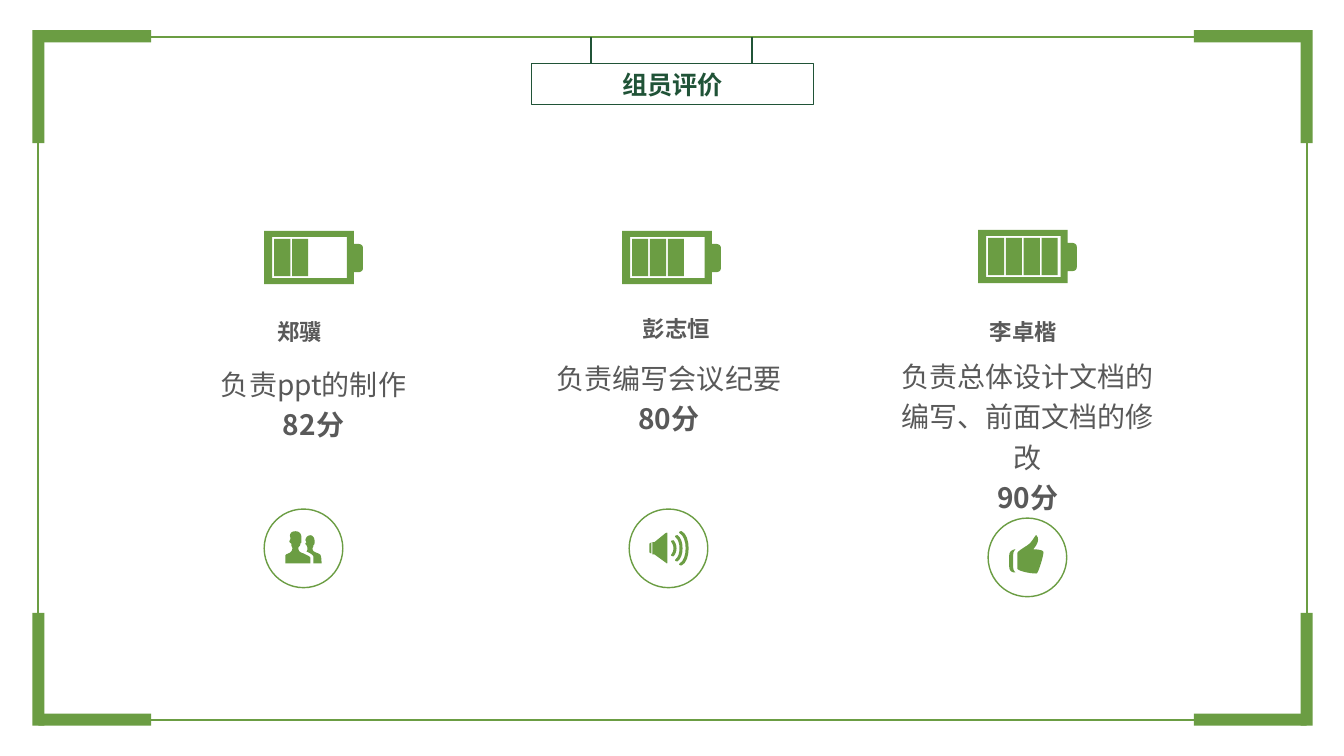
"""Build the team member evaluation slide."""
from lxml import etree
from pptx import Presentation, util as u
from pptx.dml.color import RGBColor
from pptx.enum import shapes, text
from pptx.oxml.ns import qn

GREEN, DARK, GREY = "6B9D43", "205337", "595959"
FONT = "Noto Sans CJK SC"
RECTANGLE, OVAL = shapes.MSO_SHAPE.RECTANGLE, shapes.MSO_SHAPE.OVAL


def paint(shape, fill=None, line=None, width=1):
    shape.shadow.inherit = False
    for part, color in ((shape.fill, fill), (shape.line.fill, line)):
        if color:
            part.solid()
            part.fore_color.rgb = RGBColor.from_string(color)
        else:
            part.background()
    if line:
        shape.line.width = u.Pt(width)


def draw_outline(contours):
    """Fill contours in inches; a point of six numbers is a Bezier curve."""
    builder = None
    for contour in contours:
        points = [contour[0]]
        for point in contour[1:]:
            if len(point) == 2:
                points.append(point)
                continue
            start = points[-1]
            for step in range(1, 9):
                t = step / 8
                weights = ((1 - t) ** 3, 3 * t * (1 - t) ** 2, 3 * t * t * (1 - t), t ** 3)
                points.append(tuple(
                    sum(w * v for w, v in zip(weights, (start[axis], *point[axis::2])))
                    for axis in (0, 1)))
        points = [(u.Inches(x), u.Inches(y)) for x, y in points]
        if builder is None:
            builder = slide.shapes.build_freeform(*points[0], scale=1.0)
        else:
            builder.move_to(*points[0])
        builder.add_line_segments(points[1:], close=True)
    paint(builder.convert_to_shape(), GREEN)


presentation = Presentation()
presentation.slide_width, presentation.slide_height = u.Inches(13.33), u.Inches(7.5)
slide = presentation.slides.add_slide(presentation.slide_layouts[5])

frame = slide.shapes.add_shape(RECTANGLE, *map(u.Inches, (0.38, 0.37, 12.58, 6.77)))
paint(frame, None, GREEN, 1.5)

for bar_left, post_left in ((0.38, 0.32), (11.84, 12.9)):
    for bar_top, post_top in ((0.3, 0.3), (7.08, 6.08)):
        for box in ((bar_left, bar_top, 1.12, 0.12), (post_left, post_top, 0.12, 1.12)):
            paint(slide.shapes.add_shape(RECTANGLE, *map(u.Inches, box)), GREEN)

title = slide.shapes.title
for name, value in dict(left=5.27, top=0.63, width=2.8, height=0.41).items():
    setattr(title, name, u.Inches(value))
paint(title, None, DARK)
for x in (5.86, 7.46):
    hanger = slide.shapes.add_connector(
        shapes.MSO_CONNECTOR.STRAIGHT, *map(u.Inches, (x, 0.37, x, 0.64)))
    hanger.line.width = u.Pt(1)
    hanger.line.color.rgb = RGBColor.from_string(DARK)
    etree.SubElement(hanger._element.spPr, qn("a:effectLst"))

for left, top, level in ((2.62, 2.29, 2), (6.17, 2.29, 3), (9.7, 2.28, 4)):
    right, bottom = left + 0.89, top + 0.53
    tip = left + 0.98
    case = [(right, top + 0.13), (right, top), (left, top), (left, bottom), (right, bottom),
            (right, top + 0.41),
            (right + 0.03, top + 0.41, tip, top + 0.42, tip, top + 0.37),
            (tip, top + 0.17),
            (tip, top + 0.12, right + 0.02, top + 0.13, right, top + 0.13)]
    window = [(left + 0.82, top + 0.47), (left + 0.08, top + 0.47),
              (left + 0.08, top + 0.06), (left + 0.82, top + 0.06)]
    draw_outline([case, window])
    for cell in range(level):
        box = (left + 0.1 + cell * 0.177, top + 0.08, 0.16, 0.37)
        paint(slide.shapes.add_shape(RECTANGLE, *map(u.Inches, box)), GREEN)

for left, top in ((2.62, 5.05), (6.24, 5.05), (9.8, 5.14)):
    ring = slide.shapes.add_shape(OVAL, *map(u.Inches, (left, top, 0.78, 0.78)))
    paint(ring, None, GREEN)

front_person = [
    (3.01, 5.49), (2.97, 5.48, 2.96, 5.46, 2.96, 5.44), (2.96, 5.42, 2.97, 5.43, 2.98, 5.4),
    (2.98, 5.38, 2.99, 5.4, 2.99, 5.37), (2.99, 5.33), (2.99, 5.31, 2.98, 5.27, 2.93, 5.27),
    (2.88, 5.27, 2.87, 5.31, 2.88, 5.33), (2.88, 5.35), (2.87, 5.37),
    (2.88, 5.4, 2.89, 5.38, 2.89, 5.4), (2.89, 5.43, 2.9, 5.42, 2.9, 5.44),
    (2.9, 5.46, 2.89, 5.48, 2.86, 5.49), (2.84, 5.5, 2.83, 5.5, 2.83, 5.52),
    (2.83, 5.59), (3.08, 5.59), (3.08, 5.54), (3.08, 5.52, 3.05, 5.51, 3.01, 5.49)]
back_person = [
    (3.19, 5.59), (3.19, 5.59, 3.19, 5.52, 3.18, 5.51), (3.18, 5.5, 3.16, 5.49, 3.13, 5.48),
    (3.11, 5.47, 3.1, 5.46, 3.1, 5.44), (3.1, 5.43, 3.11, 5.43, 3.11, 5.41),
    (3.11, 5.4, 3.12, 5.41, 3.12, 5.39), (3.12, 5.36), (3.12, 5.35, 3.11, 5.31, 3.08, 5.31),
    (3.04, 5.31, 3.03, 5.35, 3.03, 5.36), (3.04, 5.38), (3.03, 5.39),
    (3.03, 5.41, 3.04, 5.4, 3.04, 5.41), (3.05, 5.43, 3.05, 5.43, 3.05, 5.44),
    (3.05, 5.45, 3.05, 5.46, 3.04, 5.47), (3.1, 5.5, 3.11, 5.51, 3.11, 5.53), (3.11, 5.59)]
draw_outline([front_person, back_person])

speaker_cone = [(6.6, 5.29), (6.49, 5.38), (6.47, 5.38), (6.47, 5.5), (6.49, 5.5), (6.6, 5.58),
                (6.6, 5.58, 6.62, 5.6, 6.62, 5.58), (6.62, 5.29),
                (6.62, 5.28, 6.6, 5.29, 6.6, 5.29)]
speaker_back = [(6.44, 5.4), (6.44, 5.48), (6.44, 5.48, 6.45, 5.49, 6.46, 5.49),
                (6.46, 5.38), (6.45, 5.39, 6.44, 5.39, 6.44, 5.4)]
draw_outline([speaker_cone, speaker_back])
for x, reach, half in ((6.68, 0.03, 0.08), (6.72, 0.05, 0.13), (6.76, 0.07, 0.17)):
    outer, inner = x + reach * 4 / 3, x - 0.02 + (reach - 0.01) * 4 / 3
    top, bottom = 5.44 - half, 5.44 + half
    draw_outline([[(x, top), (outer, top + 0.04, outer, bottom - 0.04, x, bottom),
                   (x - 0.02, bottom, x - 0.03, bottom - 0.01, x - 0.02, bottom - 0.02),
                   (inner, bottom - 0.06, inner, top + 0.06, x - 0.02, top + 0.02),
                   (x - 0.03, top + 0.01, x - 0.02, top, x, top)]])

thumb = [(10.25, 5.45), (10.25, 5.44, 10.33, 5.37, 10.28, 5.31),
         (10.27, 5.3, 10.24, 5.38, 10.19, 5.41), (10.16, 5.43, 10.09, 5.47, 10.09, 5.49),
         (10.09, 5.64), (10.09, 5.66, 10.2, 5.69, 10.28, 5.69),
         (10.3, 5.69, 10.35, 5.51, 10.35, 5.48), (10.35, 5.45, 10.26, 5.45, 10.25, 5.45)]
cuff = [(10.07, 5.45), (10.06, 5.45, 10.01, 5.46, 10.01, 5.51), (10.01, 5.62),
        (10.01, 5.68, 10.06, 5.68, 10.07, 5.68), (10.08, 5.68, 10.05, 5.67, 10.05, 5.63),
        (10.05, 5.5), (10.05, 5.46, 10.08, 5.45, 10.07, 5.45)]
draw_outline([thumb, cuff])

members = [
    ("郑骥", (1.84, 3.11, 2.26, 0.37), "负责ppt的制作", "82分", (1.79, 3.53, 2.64, 1.1)),
    ("彭志恒", (5.58, 3.08, 2.26, 0.37), "负责编写会议纪要", "80分", (5.33, 3.47, 2.61, 1.16)),
    ("李卓楷", (9.02, 3.11, 2.26, 0.37), "负责总体设计文档的编写、前面文档的修改", "90分",
     (8.83, 3.45, 2.73, 1.16)),
]
name_spacing = dict(space_before=u.Pt(3.2), space_after=u.Pt(6))
duty_spacing = dict(line_spacing=1.2)
title_spacing = dict(space_before=u.Pt(0))
blocks = [(title, text.MSO_ANCHOR.MIDDLE, title_spacing, DARK, 18, [("组员评价", True)])]
for member, name_box, duty, score, duty_box in members:
    for box, spacing, size, lines in (
            (name_box, name_spacing, 16, [(member, True)]),
            (duty_box, duty_spacing, 20, [(duty, False), (score, True)])):
        shape = slide.shapes.add_textbox(*map(u.Inches, box))
        blocks.append((shape, text.MSO_ANCHOR.TOP, spacing, GREY, size, lines))

for shape, anchor, spacing, color, size, lines in blocks:
    text_frame = shape.text_frame
    frame_format = dict(word_wrap=True, auto_size=text.MSO_AUTO_SIZE.NONE, vertical_anchor=anchor)
    for name, value in frame_format.items():
        setattr(text_frame, name, value)
    for index, (words, bold) in enumerate(lines):
        paragraph = text_frame.add_paragraph() if index else text_frame.paragraphs[0]
        for name, value in dict(alignment=text.PP_ALIGN.CENTER, **spacing).items():
            setattr(paragraph, name, value)
        run = paragraph.add_run()
        run.text = words
        for name, value in dict(name=FONT, size=u.Pt(size), bold=bold).items():
            setattr(run.font, name, value)
        run.font.color.rgb = RGBColor.from_string(color)
        etree.SubElement(run._r.get_or_add_rPr(), qn("a:ea"), typeface=FONT)

presentation.save("out.pptx")
